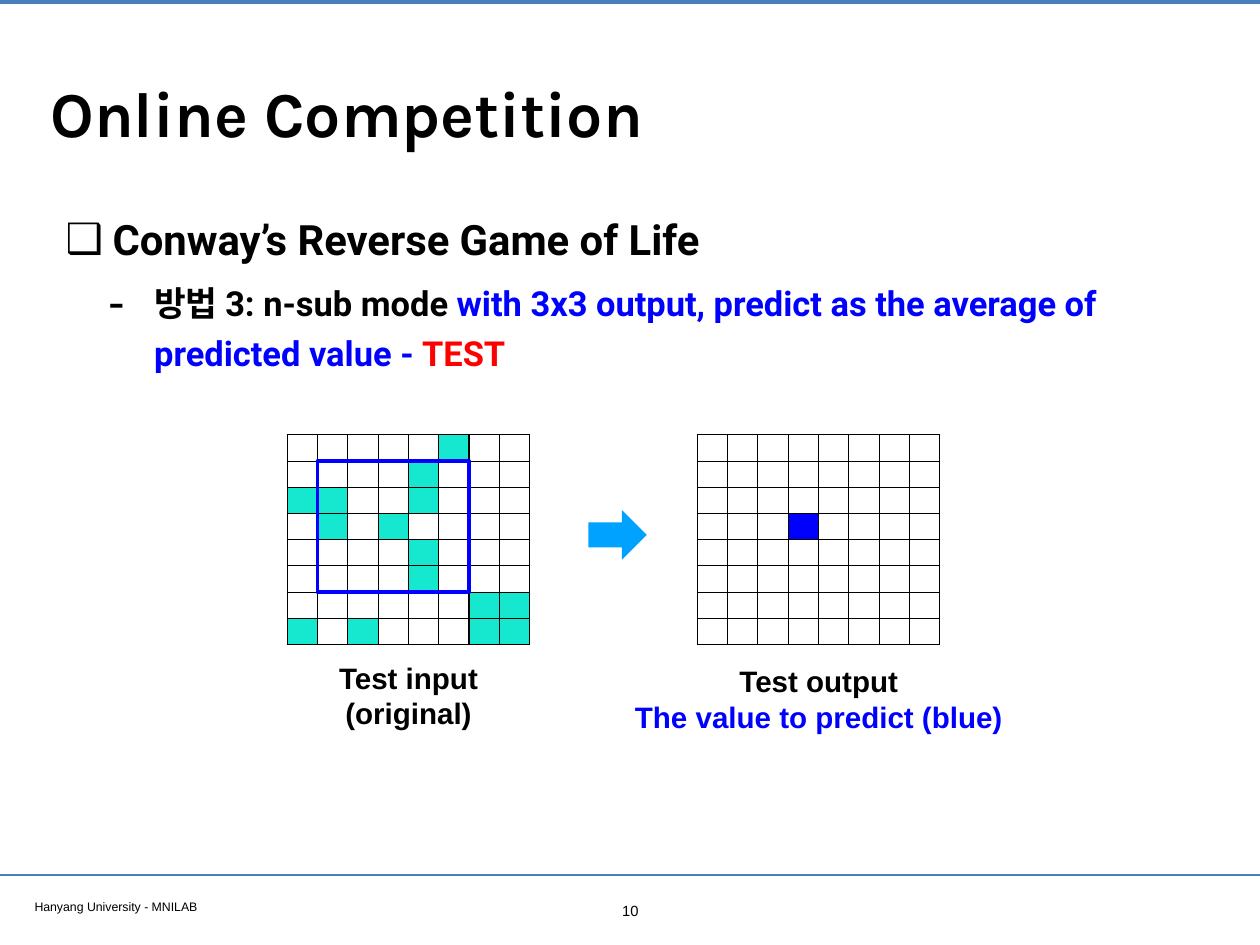
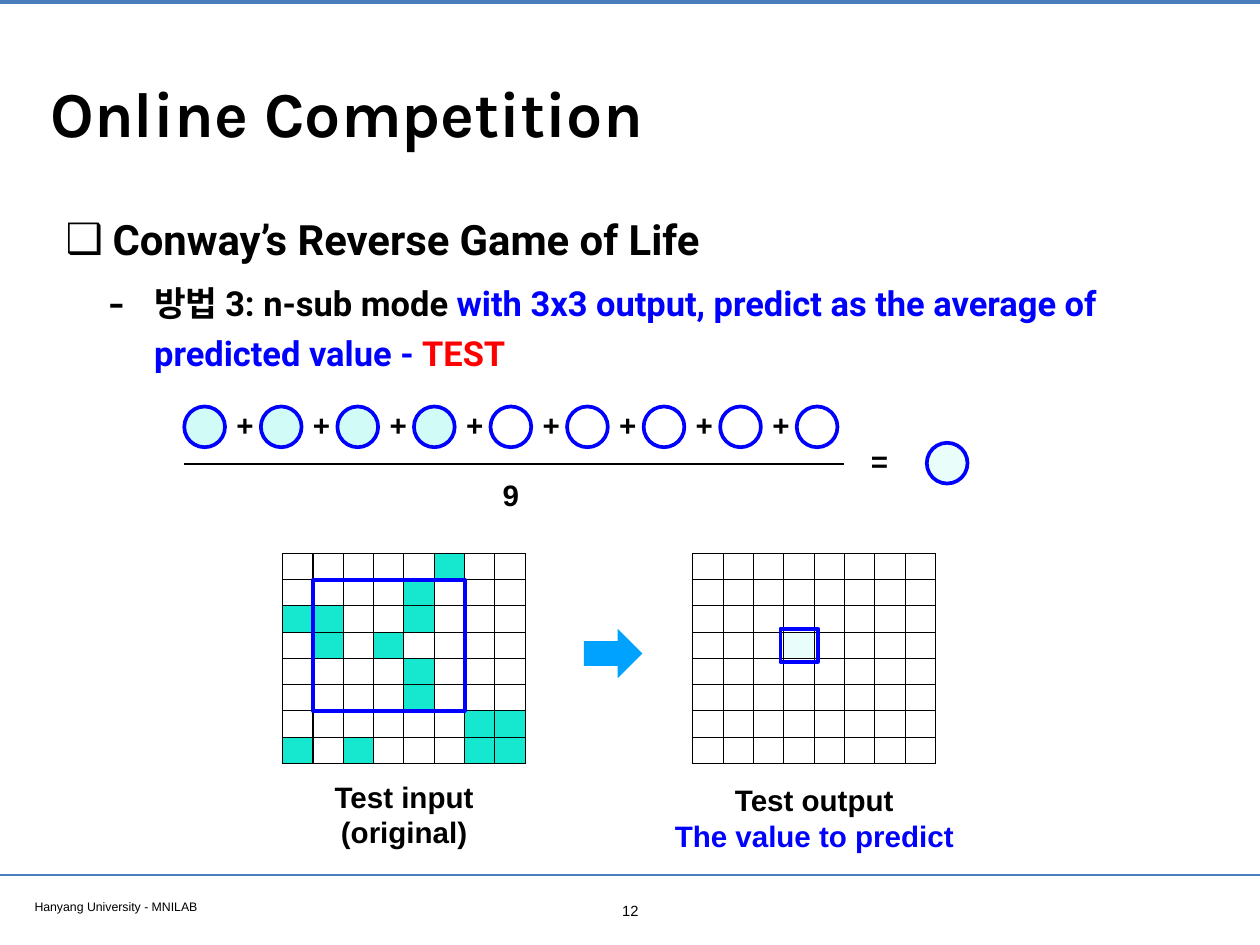
import lxml.etree
import pptx
import pptx.dml.color
import pptx.enum.shapes
import pptx.enum.text
import pptx.oxml.ns
import pptx.util

Inches, Pt = pptx.util.Inches, pptx.util.Pt
RGB = pptx.dml.color.RGBColor.from_string
SHAPE = pptx.enum.shapes.MSO_SHAPE
ALIGN = pptx.enum.text.PP_ALIGN
ANCHOR = pptx.enum.text.MSO_ANCHOR
qn = pptx.oxml.ns.qn
sub = lxml.etree.SubElement

COLORS = {"black": "000000", "band": "4A7EBB", "blue": "0000FF", "red": "FF0000",
          "alive": "16E7CF", "arrow": "00A2FF", "term": "D0FBF6", "mean": "E9FDFB"}
INSET = 0.06
GRID_N, GRID_W, GRID_H = 8, 2.74, 2.37
CELL_W, CELL_H = GRID_W / GRID_N, GRID_H / GRID_N
GRID_GAP = 4.63
CIRCLE, PITCH = 0.46, 0.864
ALIVE = {(0, 5), (1, 4), (2, 0), (2, 1), (2, 4), (3, 1), (3, 3), (4, 4), (5, 4),
         (6, 6), (6, 7), (7, 0), (7, 2), (7, 6), (7, 7)}
TARGET = (3, 3)


def write(sp, paragraphs, size, font="Arial", bold=True, align=ALIGN.CENTER,
          anchor=ANCHOR.MIDDLE, wrap=False):
    """Fill a box; each paragraph is a list of (text, colour) runs."""
    tf = sp.text_frame
    tf.word_wrap = wrap
    tf.auto_size = pptx.enum.text.MSO_AUTO_SIZE.NONE
    tf.vertical_anchor = anchor
    for side in ("left", "top", "right", "bottom"):
        setattr(tf, f"margin_{side}", Inches(INSET))
    for i, runs in enumerate(paragraphs):
        p = tf.add_paragraph() if i else tf.paragraphs[0]
        p.alignment = align
        for text, color in runs:
            r = p.add_run()
            r.text = text
            for name, value in {"name": font, "size": Pt(size), "bold": bold}.items():
                setattr(r.font, name, value)
            r.font.color.rgb = RGB(COLORS[color])


def add_line(s, x1, x2, y, color, width):
    """Draw a horizontal line without a shadow."""
    line = s.shapes.add_connector(pptx.enum.shapes.MSO_CONNECTOR.STRAIGHT,
                                  Inches(x1), Inches(y), Inches(x2), Inches(y))
    line.line.color.rgb = RGB(COLORS[color])
    line.line.width = Pt(width)
    sub(line.element.spPr, qn("a:effectLst"))
    return line


prs = pptx.Presentation()
prs.slide_width, prs.slide_height = Inches(14.22), Inches(10.67)
layout = prs.slide_layouts[1]
for ph, box in zip(layout.placeholders, [(0.51, 0.28, 13.21, 1.97), (0.68, 2.24, 13.03, 2.13)]):
    ph.left, ph.top, ph.width, ph.height = map(Inches, box)

# number, grid left, grid top, caption, target colour, averaged
PAGES = [("10", 3.24, 4.91, "The value to predict (blue)", "blue", False),
         ("12", 3.19, 6.25, "The value to predict", "mean", True)]

for number, left, top, caption, target_color, averaged in PAGES:
    s = prs.slides.add_slide(layout)

    # Bands and footer go to the layout, once
    if len(prs.slides) == 1:
        footer = s.shapes.add_textbox(*map(Inches, (0.33, 10.09, 5.46, 0.26)))
        write(footer, [[("Hanyang University - MNILAB", "black")]], 10, bold=False,
              align=ALIGN.LEFT, anchor=ANCHOR.TOP, wrap=True)
        shared = [add_line(s, 0, 14.22, 0.02, "band", 3.2),
                  add_line(s, 0, 14.22, 9.88, "band", 2), footer]
        for i, sp in enumerate(shared):
            sp.element.xpath(".//p:cNvPr")[0].set("id", str(20 + i))
            layout.shapes.element.append(sp.element)

    # Title and list
    write(s.shapes.title, [[("Online Competition", "black")]], 52, "Karla",
          align=ALIGN.LEFT, wrap=True)
    body = s.placeholders[1]
    write(body, [[("Conway’s Reverse Game of Life", "black")],
                 [("방법 3: n-sub mode ", "black"),
                  ("with 3x3 output, predict as the average of predicted value - ", "blue"),
                  ("TEST", "red")]],
          28, "Roboto", align=ALIGN.LEFT, anchor=ANCHOR.TOP, wrap=True)
    heading, method = body.text_frame.paragraphs
    heading.runs[0].font.size = Pt(34)
    method.level = 1
    for p, margin, indent, bullet, percent, before in [(heading, 0.53, -0.53, "❑", 100, 0),
                                                       (method, 1, -0.52, "-", 145, 8)]:
        pPr = p._p.get_or_add_pPr()
        pPr.set("marL", str(Inches(margin)))
        pPr.set("indent", str(Inches(indent)))
        sub(pPr, qn("a:buSzPct")).set("val", str(percent * 1000))
        sub(pPr, qn("a:buChar")).set("char", bullet)
        p.line_spacing = 1.2
        p.space_before = Pt(before)

    # Input and output grids
    right = left + GRID_GAP
    for x, fills in [(left, dict.fromkeys(ALIVE, "alive")), (right, {TARGET: target_color})]:
        table = s.shapes.add_table(GRID_N, GRID_N, Inches(x), Inches(top),
                                   Inches(GRID_W), Inches(GRID_H)).table
        table.first_row = table.horz_banding = False
        for i in range(GRID_N):
            table.columns[i].width = Inches(CELL_W)
            table.rows[i].height = Inches(CELL_H)
            for j in range(GRID_N):
                cell = table.cell(i, j)
                cell.margin_left = cell.margin_right = cell.margin_top = cell.margin_bottom = 0
                sub(cell.text_frame.paragraphs[0]._p, qn("a:endParaRPr")).set("sz", "800")
                if (i, j) in fills:
                    cell.fill.solid()
                    cell.fill.fore_color.rgb = RGB(COLORS[fills[i, j]])
                else:
                    cell.fill.background()
                tcPr = cell._tc.get_or_add_tcPr()
                for k, edge in enumerate(("a:lnL", "a:lnR", "a:lnT", "a:lnB")):
                    ln = lxml.etree.Element(qn(edge), w=str(Pt(1)))
                    fill = sub(ln, qn("a:solidFill"))
                    sub(fill, qn("a:srgbClr")).set("val", COLORS["black"])
                    tcPr.insert(k, ln)

    # kind, left, top, width, height, fill, line
    shapes = [(SHAPE.RIGHT_ARROW, left + 3.4, top + 0.85, 0.66, 0.56, "arrow", None),
              (SHAPE.RECTANGLE, left + CELL_W, top + CELL_H, 5 * CELL_W, 5 * CELL_H,
               None, "blue")]
    # left, top, width, height, paragraphs
    labels = [(left, top + 2.48, GRID_W, 0.92, [[("Test input", "black")],
                                                [("(original)", "black")]]),
              (right - 0.85, top + 2.52, GRID_W + 1.7, 0.92, [[("Test output", "black")],
                                                              [(caption, "blue")]])]

    # Average of nine predictions
    if averaged:
        row, col = TARGET
        pad = 0.04
        shapes += [(SHAPE.OVAL, 2.08 + i * PITCH, 4.59, CIRCLE, CIRCLE,
                    "term" if i < 4 else None, "blue") for i in range(9)]
        shapes += [(SHAPE.OVAL, 10.46, 5, CIRCLE, CIRCLE, "mean", "blue"),
                   (SHAPE.RECTANGLE, right + col * CELL_W - pad, top + row * CELL_H - pad,
                    CELL_W + 2 * pad, CELL_H + 2 * pad, None, "blue")]
        labels += [(2.59 + i * PITCH, 4.54, 0.35, 0.52, [[("+", "black")]]) for i in range(8)]
        labels += [(5.61, 5.33, 0.31, 0.52, [[("9", "black")]]),
                   (9.75, 4.94, 0.35, 0.52, [[("=", "black")]])]
        add_line(s, 2.08, 9.53, 5.24, "black", 2)

    for kind, x, y, w, h, fill, line in shapes:
        sp = s.shapes.add_shape(kind, Inches(x), Inches(y), Inches(w), Inches(h))
        sp.shadow.inherit = False
        if fill:
            sp.fill.solid()
            sp.fill.fore_color.rgb = RGB(COLORS[fill])
        else:
            sp.fill.background()
        if line:
            sp.line.color.rgb = RGB(COLORS[line])
            sp.line.width = Pt(3)
        else:
            sp.line.fill.background()

    for *box, paragraphs in labels:
        write(s.shapes.add_textbox(*map(Inches, box)), paragraphs, 24)

    page = s.shapes.add_textbox(*map(Inches, (6.92, 10.12, 0.39, 0.31)))
    write(page, [[(number, "black")]], 12, bold=False, anchor=ANCHOR.TOP)

prs.save("out.pptx")
